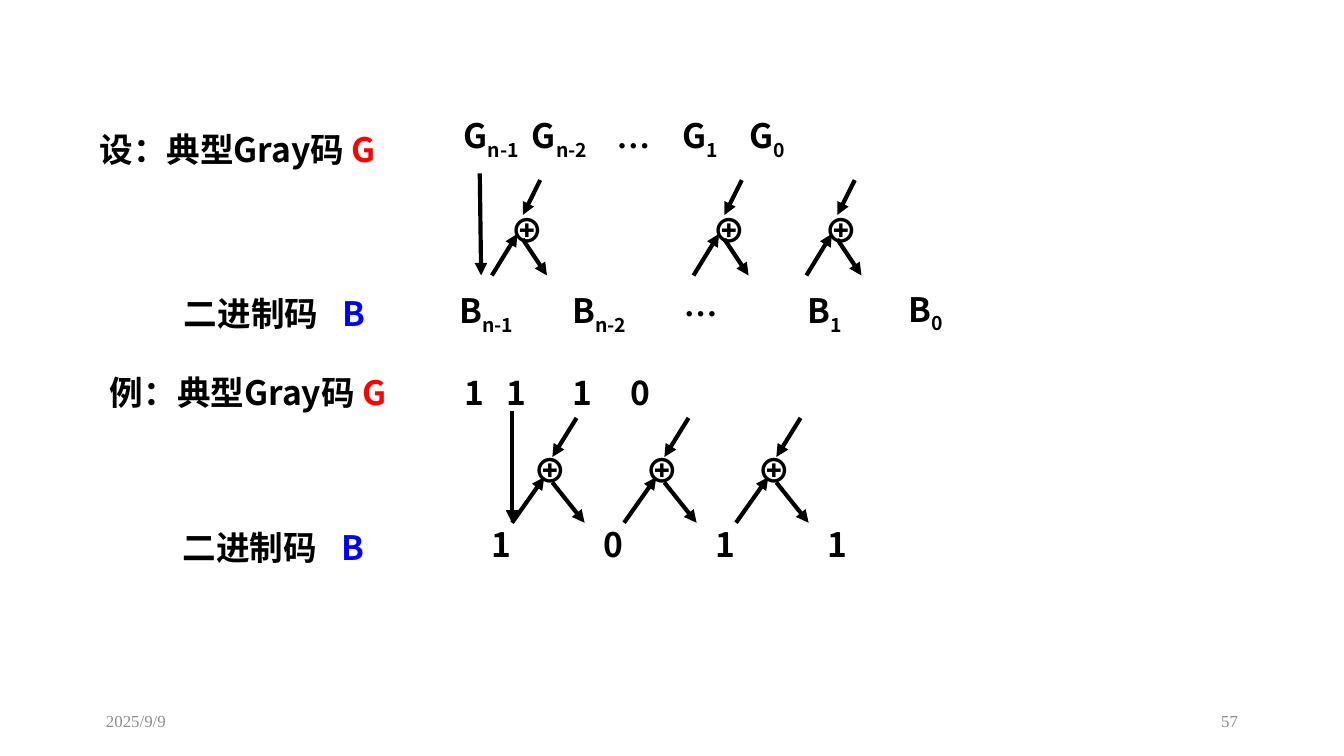
from lxml import etree
from pptx import Presentation
from pptx.dml.color import RGBColor
from pptx.enum.shapes import MSO_CONNECTOR
from pptx.enum.text import MSO_ANCHOR, MSO_AUTO_SIZE, PP_ALIGN
from pptx.oxml.ns import qn
from pptx.util import Inches, Pt

STRAIGHT = MSO_CONNECTOR.STRAIGHT
TOP, MIDDLE = MSO_ANCHOR.TOP, MSO_ANCHOR.MIDDLE
LEFT, RIGHT = PP_ALIGN.LEFT, PP_ALIGN.RIGHT
NO_AUTOFIT = MSO_AUTO_SIZE.NONE

SLIDE_WIDTH = Inches(10)
SLIDE_HEIGHT = SLIDE_WIDTH * 9 // 16

BLACK = RGBColor(0x00, 0x00, 0x00)
RED = RGBColor(0xFF, 0x00, 0x00)
BLUE = RGBColor(0x00, 0x00, 0xFF)
DATE_GRAY = RGBColor(0x8C, 0x8C, 0x8C)
NUMBER_GRAY = RGBColor(0x89, 0x89, 0x89)
SANS, SERIF = "Noto Sans CJK SC", "Times New Roman"

SUB = {"sub": True}
ELLIPSIS = ("…", {"font": SERIF})
FOOTER = {"size": 9, "font": SERIF, "bold": False}

# Each text is a list of (words, format) spans
TITLE = [("设：典型Gray码 ", {}), ("G", {"color": RED})]
BINARY_LABEL = [("二进制码\t", {}), ("B", {"color": BLUE})]
GRAY_BITS = [("G", {}), ("n-1", SUB), ("\tG", {}), ("n-2", SUB), ("\t", {}), ELLIPSIS,
             ("\tG", {}), ("1", SUB), ("\tG", {}), ("0", SUB)]
EXAMPLE = [("例：典型Gray码 ", {}), ("G", {"color": RED}), ("\t1\t1\t1\t0", {})]

# (left, top, width), spans, tab stops
ROWS = [
    ((3.35, 0.81, 4.88), GRAY_BITS, [0.51, 1.14, 1.63, 2.13]),
    ((1.27, 2.13, 2.67), BINARY_LABEL, [1.18]),
    ((0.72, 2.72, 8), EXAMPLE, [2.64, 2.95, 3.44, 3.87]),
    ((1.26, 3.87, 2.83), BINARY_LABEL, [1.18]),
]
BINARY_BITS = [
    ((3.32, 2.11, 1.17), [("B", {}), ("n-1", SUB)]),
    ((4.16, 2.11, 1), [("B", {}), ("n-2", SUB)]),
    ((4.99, 2.06, 0.75), [ELLIPSIS]),
    ((5.91, 2.11, 0.83), [("B", {}), ("1", SUB)]),
    ((6.66, 2.1, 0.83), [("B", {}), ("0", SUB)]),
]
EXAMPLE_BITS = ["1", "0", "1", "1"]
BIT_PITCH = 5 / 6

# Adder geometry: x runs from the adder's left edge, y is on the page
GENERAL_ADDER = {
    "symbol": (0.04, 1.51, 0.27),
    "arrows": [((0.36, 1.34), (0.23, 1.6)), ((0.23, 1.78), (0.41, 2.05)),
               ((0, 2.05), (0.19, 1.74))],
}
EXAMPLE_ADDER = {
    "symbol": (0.06, 3.3, 0.36),
    "arrows": [((0.48, 3.11), (0.3, 3.4)), ((0.3, 3.59), (0.54, 3.89)),
               ((0, 3.89), (0.24, 3.55))],
}
ADDERS = [(GENERAL_ADDER, left) for left in (3.66, 5.16, 6)]
ADDERS += [(EXAMPLE_ADDER, 3.81 + i * BIT_PITCH) for i in range(3)]
FIRST_BIT_ARROWS = [((3.57, 1.29), (3.58, 2.05)), ((3.81, 3.06), (3.81, 3.89))]

FOOTERS = [
    (0.69, LEFT, ("2025/9/9", {**FOOTER, "color": DATE_GRAY})),
    (7.06, RIGHT, ("57", {**FOOTER, "color": NUMBER_GRAY})),
]


def add_spans(para, spans):
    for words, style in spans:
        span = para.add_run()
        span.text = words
        font = span.font
        font.name = style.get("font", SANS)
        font.size = Pt(style.get("size", 18))
        font.bold = style.get("bold", True)
        font.color.rgb = style.get("color", BLACK)
        properties = span._r.get_or_add_rPr()
        etree.SubElement(properties, qn("a:ea"), typeface=font.name)
        if style.get("sub"):
            properties.set("baseline", "-25000")


def add_text(shapes, place, spans, tabs=(), height=0.4, align=LEFT, anchor=TOP):
    left, top, width = place
    box = shapes.add_textbox(Inches(left), Inches(top), Inches(width), Inches(height))
    frame = box.text_frame
    frame.word_wrap = True
    frame.vertical_anchor = anchor
    para = frame.paragraphs[0]
    para.alignment = align
    if tabs:
        tab_list = etree.SubElement(para._p.get_or_add_pPr(), qn("a:tabLst"))
        for stop in tabs:
            etree.SubElement(tab_list, qn("a:tab"), pos=str(Inches(stop)), algn="l")
    add_spans(para, spans)


def add_arrow(shapes, start, end):
    arrow = shapes.add_connector(STRAIGHT, *(Inches(value) for value in start + end))
    arrow.line.color.rgb = BLACK
    arrow.line.width = Pt(2.25)
    etree.SubElement(arrow.line._get_or_add_ln(), qn("a:tailEnd"), type="triangle")
    etree.SubElement(arrow._element.spPr, qn("a:effectLst"))


def add_adder(page, adder, left):
    """Group one XOR symbol with its two inputs and its output."""
    group = page.shapes.add_group_shape()
    x, y, width = adder["symbol"]
    add_text(group.shapes, (left + x, y, width), [("⊕", {})])
    for (x1, y1), (x2, y2) in adder["arrows"]:
        add_arrow(group.shapes, (left + x1, y1), (left + x2, y2))


def main():
    deck = Presentation()
    deck.slide_width, deck.slide_height = SLIDE_WIDTH, SLIDE_HEIGHT
    page = deck.slides.add_slide(deck.slide_layouts[5])

    title = page.shapes.title
    title.left, title.top = Inches(0.64), Inches(0.94)
    title.width, title.height = Inches(4.08), Inches(0.94)
    frame = title.text_frame
    frame.word_wrap = True
    frame.auto_size = NO_AUTOFIT
    frame.vertical_anchor = TOP
    frame.paragraphs[0].alignment = LEFT
    frame.paragraphs[0].line_spacing = 0.9
    add_spans(frame.paragraphs[0], TITLE)

    for adder, left in ADDERS:
        add_adder(page, adder, left)
    for start, end in FIRST_BIT_ARROWS:
        add_arrow(page.shapes, start, end)

    for place, spans, tabs in ROWS:
        add_text(page.shapes, place, spans, tabs)
    for place, spans in BINARY_BITS:
        add_text(page.shapes, place, spans)
    for i, bit in enumerate(EXAMPLE_BITS):
        add_text(page.shapes, (3.56 + i * BIT_PITCH, 3.85, 0.67), [(bit, {})])

    for left, align, span in FOOTERS:
        add_text(page.shapes, (left, 5.21, 2.25), [span],
                 height=0.3, align=align, anchor=MIDDLE)

    deck.save("out.pptx")


if __name__ == "__main__":
    main()
